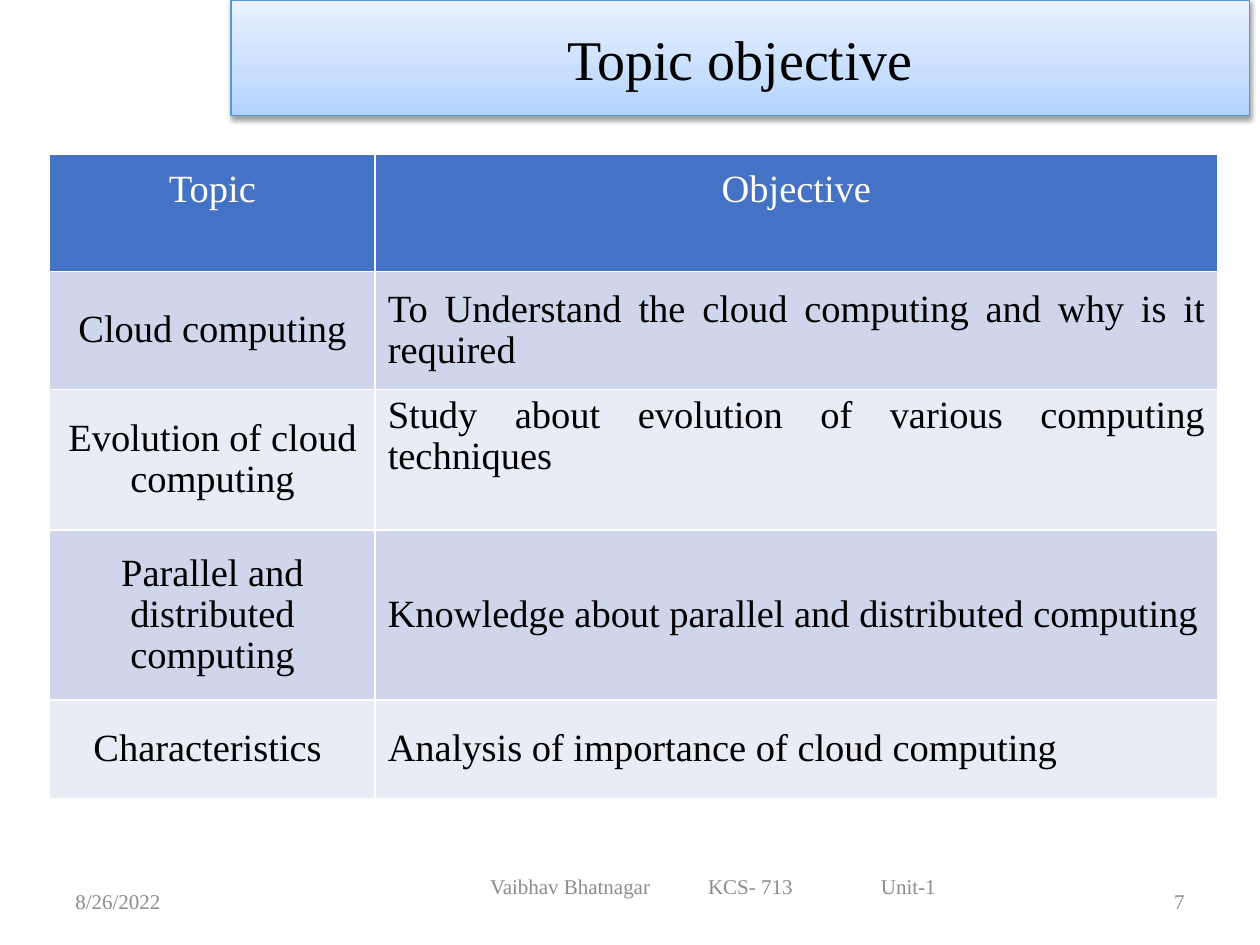
import pptx
import pptx.dml.color
import pptx.enum.text
import pptx.oxml
import pptx.oxml.ns
import pptx.util

Pt = pptx.util.Pt
ALIGN = pptx.enum.text.PP_ALIGN
ANCHOR = pptx.enum.text.MSO_ANCHOR
FONT = "Times New Roman"
NS = pptx.oxml.ns.nsdecls("a")
ROWS = [
    ("Topic", "Objective"),
    ("Cloud computing", "To Understand the cloud computing and why is it required"),
    ("Evolution of cloud computing", "Study about evolution of various computing techniques"),
    ("Parallel and distributed computing", "Knowledge about parallel and distributed computing"),
    ("Characteristics ", "Analysis of importance of cloud computing"),
]
ROW_HEIGHTS = [67.2, 67.4, 80.4, 97, 56.6]
COL_WIDTHS = [186, 481.4]


def rgb(value):
    """Return the colour for a hex string."""
    return pptx.dml.color.RGBColor.from_string(value)


def format_text(tf, size, color, align):
    """Format the paragraphs of a text frame."""
    for p in tf.paragraphs:
        p.alignment = align
        for r in p.runs:
            r.font.name = FONT
            r.font.size = Pt(size)
            r.font.bold = False
            r.font.color.rgb = rgb(color)


def add_title(slide, text, left, top, width, height):
    """Place the title as a shaded banner."""
    sp = slide.shapes.title
    sp.left, sp.top, sp.width, sp.height = Pt(left), Pt(top), Pt(width), Pt(height)
    stops = [(0, "B0D2FF"), (35, "C7DEFF"), (100, "EAF2FF")]
    gs = "".join(f'<a:gs pos="{pos * 1000}"><a:srgbClr val="{color}"/></a:gs>'
                 for pos, color in stops)
    spPr = sp.element.spPr
    sp.line.color.rgb = rgb("5698D3")
    sp.line.width = Pt(0.75)
    sp.line._ln.addprevious(pptx.oxml.parse_xml(
        f'<a:gradFill {NS} rotWithShape="1"><a:gsLst>{gs}</a:gsLst>'
        '<a:lin ang="16200000" scaled="0"/></a:gradFill>'))
    spPr.append(pptx.oxml.parse_xml(
        f'<a:effectLst {NS}><a:outerShdw blurRad="{Pt(3.1)}" dist="{Pt(1.6)}" '
        'dir="5400000" rotWithShape="0"><a:srgbClr val="000000">'
        '<a:alpha val="38000"/></a:srgbClr></a:outerShdw></a:effectLst>'))
    tf = sp.text_frame
    tf.text = text
    tf.auto_size = pptx.enum.text.MSO_AUTO_SIZE.NONE
    tf.vertical_anchor = ANCHOR.MIDDLE
    format_text(tf, 32, "000000", ALIGN.CENTER)


def set_borders(cell):
    """Give a cell thin white borders."""
    tcPr = cell._tc.get_or_add_tcPr()
    for i, side in enumerate("LRTB"):
        tcPr.insert(i, pptx.oxml.parse_xml(
            f'<a:ln{side} {NS} w="{Pt(1)}"><a:solidFill>'
            f'<a:srgbClr val="FFFFFF"/></a:solidFill></a:ln{side}>'))


def add_objectives(slide, left, top):
    """Place the table of topics and objectives."""
    table = slide.shapes.add_table(
        len(ROWS), len(COL_WIDTHS), Pt(left), Pt(top),
        Pt(sum(COL_WIDTHS)), Pt(sum(ROW_HEIGHTS))).table
    for column, width in zip(table.columns, COL_WIDTHS):
        column.width = Pt(width)
    for i, (texts, height) in enumerate(zip(ROWS, ROW_HEIGHTS)):
        table.rows[i].height = Pt(height)
        fill = "4472C4" if i == 0 else ("E9EBF5", "CFD5EA")[i % 2]
        for j, text in enumerate(texts):
            cell = table.cell(i, j)
            cell.text = text
            cell.fill.solid()
            cell.fill.fore_color.rgb = rgb(fill)
            set_borders(cell)
            at_top = i == 0 or (i, j) == (2, 1)
            cell.vertical_anchor = ANCHOR.TOP if at_top else ANCHOR.MIDDLE
            cell.margin_top = Pt(9 if i == 0 else 3.6)
            align = ALIGN.JUSTIFY if i and j else ALIGN.CENTER
            format_text(cell.text_frame, 22, "FFFFFF" if i == 0 else "000000", align)
            cell.text_frame.paragraphs[0].line_spacing = 0.96


def add_footer(slide, text, left, top, width, align, inset=7.2, tabs=()):
    """Place one footer text, with optional tab stops."""
    tf = slide.shapes.add_textbox(Pt(left), Pt(top), Pt(width), Pt(28.8)).text_frame
    tf.word_wrap = True
    tf.vertical_anchor = ANCHOR.MIDDLE
    tf.margin_left = Pt(inset)
    tf.text = text
    if tabs:
        stops = "".join(f'<a:tab pos="{Pt(pos)}" algn="l"/>' for pos in tabs)
        pPr = tf.paragraphs[0]._p.get_or_add_pPr()
        pPr.append(pptx.oxml.parse_xml(f'<a:tabLst {NS}>{stops}</a:tabLst>'))
    format_text(tf, 12, "8C8C8C", align)


def main():
    """Build and save the slide."""
    prs = pptx.Presentation()
    prs.slide_width, prs.slide_height = Pt(720), Pt(540)
    slide = prs.slides.add_slide(prs.slide_layouts[5])
    add_footer(slide, "8/26/2022", 36, 500.4, 168, ALIGN.LEFT)
    add_footer(slide, "Vaibhav Bhatnagar\tKCS- 713\tUnit-1", 222, 492, 372,
               ALIGN.LEFT, inset=58, tabs=(124.6, 223.4))
    add_footer(slide, "7", 516, 500.4, 168, ALIGN.RIGHT)
    add_title(slide, "Topic objective", 132, 0, 582, 66)
    add_objectives(slide, 28.4, 88)
    prs.save("out.pptx")


if __name__ == "__main__":
    main()
